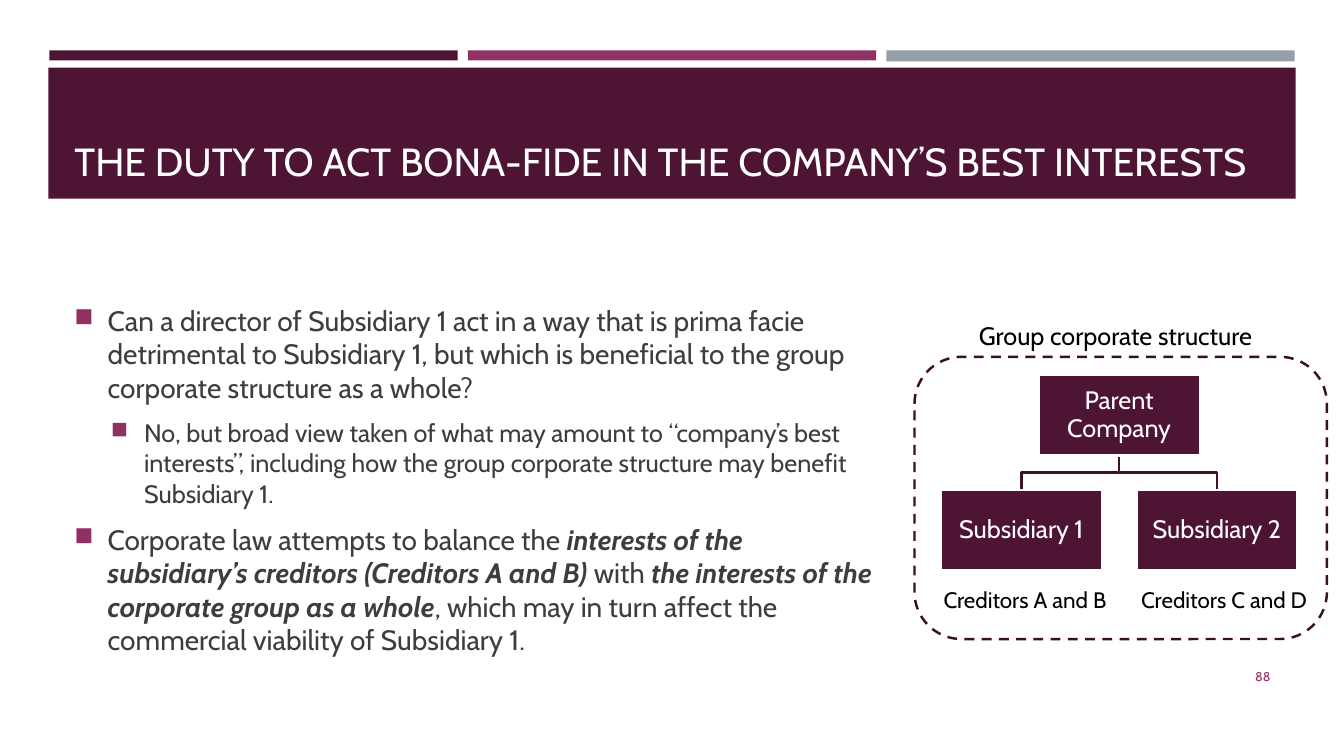
from dataclasses import dataclass

from lxml import etree
from pptx import Presentation
from pptx.dml.color import RGBColor
from pptx.enum import dml, shapes, text
from pptx.oxml import ns
from pptx.util import Inches, Pt

FONT = "Cabin"
PLUM = RGBColor(0x4D, 0x14, 0x34)
MAGENTA = RGBColor(0x90, 0x31, 0x63)
GREY = RGBColor(0x96, 0x9F, 0xA7)
LINK = RGBColor(0x3E, 0x10, 0x2A)
FRAME = RGBColor(0x39, 0x0F, 0x26)
BODY = RGBColor(0x3D, 0x3D, 0x3D)
WHITE = RGBColor(0xFF, 0xFF, 0xFF)
BLACK = RGBColor(0, 0, 0)
LEFT, CENTER, RIGHT = text.PP_ALIGN.LEFT, text.PP_ALIGN.CENTER, text.PP_ALIGN.RIGHT
TOP, MIDDLE, BOTTOM = text.MSO_ANCHOR.TOP, text.MSO_ANCHOR.MIDDLE, text.MSO_ANCHOR.BOTTOM
LINE_WIDTH = Pt(1.75)
BOX_W, BOX_H = 1.6, 0.8


@dataclass
class Box:
    left: float
    top: float
    width: float
    height: float

    def emu(self) -> list[int]:
        return [Inches(v) for v in (self.left, self.top, self.width, self.height)]


@dataclass
class Label:
    words: str
    box: Box
    size: int
    color: RGBColor = BLACK
    align: text.PP_ALIGN = LEFT
    anchor: text.MSO_ANCHOR = TOP
    wrap: bool = True


@dataclass
class Company:
    name: str
    left: float
    top: float

    @property
    def middle(self) -> float:
        return self.left + BOX_W / 2


@dataclass
class Bullet:
    """Runs alternate between plain and bold italic, starting plain."""
    runs: list[str]
    level: int
    size: int


BANDS = [
    (Box(0.49, 0.5, 4.05, 0.1), PLUM),
    (Box(4.64, 0.5, 4.05, 0.1), MAGENTA),
    (Box(8.79, 0.5, 4.05, 0.11), GREY),
    (Box(0.48, 0.67, 12.37, 1.3), PLUM),
]
LABELS = [
    Label("THE DUTY TO ACT BONA-FIDE IN THE COMPANY’S BEST INTERESTS",
          Box(0.64, 0.77, 12.06, 1.11), 28, WHITE, anchor=BOTTOM),
    Label("88", Box(11.55, 6.51, 1.15, 0.4), 9, MAGENTA, RIGHT, MIDDLE),
    Label("Creditors A and B", Box(9.26, 5.77, 1.9, 0.37), 16),
    Label("Creditors C and D", Box(11.22, 5.77, 1.9, 0.37), 16),
    Label("Group corporate structure", Box(9.61, 3.13, 2.98, 0.4), 18, wrap=False),
]
BULLETS = [
    Bullet(["Can a director of Subsidiary 1 act in a way that is prima facie detrimental "
            "to Subsidiary 1, but which is beneficial to the group corporate structure "
            "as a whole?"], 0, 20),
    Bullet(["No, but broad view taken of what may amount to “company’s best interests”, "
            "including how the group corporate structure may benefit Subsidiary 1."], 1, 18),
    Bullet(["Corporate law attempts to balance the ",
            "interests of the subsidiary’s creditors (Creditors A and B) ",
            "with ",
            "the interests of the corporate group as a whole",
            ", which may in turn affect the commercial viability of Subsidiary 1."], 0, 20),
]
PARENT = Company("Parent Company", 10.3, 3.72)
SUBSIDIARIES = [Company("Subsidiary 1", 9.33, 4.86), Company("Subsidiary 2", 11.27, 4.86)]


def style_font(font, size: int, color: RGBColor) -> None:
    font.name, font.size = FONT, Pt(size)
    font.color.rgb = color


def add_block(s, box: Box, fill: RGBColor):
    sp = s.shapes.add_shape(shapes.MSO_SHAPE.RECTANGLE, *box.emu())
    sp.shadow.inherit = False
    sp.fill.solid()
    sp.fill.fore_color.rgb = fill
    sp.line.fill.background()
    return sp


def add_label(s, label: Label) -> None:
    tf = s.shapes.add_textbox(*label.box.emu()).text_frame
    tf.word_wrap = label.wrap
    tf.vertical_anchor = label.anchor
    tf.text = label.words
    p = tf.paragraphs[0]
    p.alignment = label.align
    style_font(p.runs[0].font, label.size, label.color)


def add_marker(p, level: int) -> None:
    """Give the paragraph a hanging indent and a square bullet."""
    pPr = p._p.get_or_add_pPr()
    pPr.set("marL", str(Inches((0.33, 0.69)[level])))
    pPr.set("indent", str(Inches(-0.33)))
    color = etree.SubElement(pPr, ns.qn("a:buClr"))
    etree.SubElement(color, ns.qn("a:srgbClr"), val=str(MAGENTA))
    etree.SubElement(pPr, ns.qn("a:buSzPct"), val="92000")
    etree.SubElement(pPr, ns.qn("a:buChar"), char="■")


def add_bullets(s, box: Box, bullets: list[Bullet]) -> None:
    tf = s.shapes.add_textbox(*box.emu()).text_frame
    tf.word_wrap = True
    tf.vertical_anchor = MIDDLE
    for i, bullet in enumerate(bullets):
        p = tf.add_paragraph() if i else tf.paragraphs[0]
        p.level = bullet.level
        add_marker(p, bullet.level)
        p.space_before = Pt(bullet.size * 0.2 if i else 0)
        p.space_after = Pt(6)
        for j, words in enumerate(bullet.runs):
            r = p.add_run()
            r.text = words
            style_font(r.font, bullet.size, BODY)
            r.font.bold = r.font.italic = j % 2 == 1


def add_company(s, company: Company) -> None:
    sp = add_block(s, Box(company.left, company.top, BOX_W, BOX_H), PLUM)
    sp.line.color.rgb = WHITE
    sp.line.width = LINE_WIDTH
    tf = sp.text_frame
    tf.word_wrap = True
    tf.vertical_anchor = MIDDLE
    tf.margin_left = tf.margin_right = tf.margin_top = tf.margin_bottom = Inches(0.01)
    tf.text = company.name
    p = tf.paragraphs[0]
    p.alignment = CENTER
    p.line_spacing = 0.9
    style_font(p.runs[0].font, 18, WHITE)


def add_branch(s, parent: Company, child: Company) -> None:
    start = parent.top + BOX_H
    bend = (start + child.top) / 2
    points = [(parent.middle, bend), (child.middle, bend), (child.middle, child.top)]
    builder = s.shapes.build_freeform(Inches(parent.middle), Inches(start))
    builder.add_line_segments([(Inches(x), Inches(y)) for x, y in points], close=False)
    sp = builder.convert_to_shape()
    sp.shadow.inherit = False
    sp.fill.background()
    sp.line.color.rgb = LINK
    sp.line.width = LINE_WIDTH


def add_group_frame(s, box: Box) -> None:
    sp = s.shapes.add_shape(shapes.MSO_SHAPE.ROUNDED_RECTANGLE, *box.emu())
    sp.shadow.inherit = False
    sp.fill.background()
    sp.line.color.rgb = FRAME
    sp.line.width = LINE_WIDTH
    sp.line.dash_style = dml.MSO_LINE.DASH


def main() -> None:
    prs = Presentation()
    prs.slide_width, prs.slide_height = Inches(13.33), Inches(7.5)
    s = prs.slides.add_slide(prs.slide_layouts[6])
    for box, color in BANDS:
        add_block(s, box, color)
    add_bullets(s, Box(0.64, 2.38, 8.26, 4.76), BULLETS)
    for child in SUBSIDIARIES:
        add_branch(s, PARENT, child)
    for company in [PARENT, *SUBSIDIARIES]:
        add_company(s, company)
    add_group_frame(s, Box(9.07, 3.54, 4.09, 2.8))
    for label in LABELS:
        add_label(s, label)
    prs.save("out.pptx")


if __name__ == "__main__":
    main()
